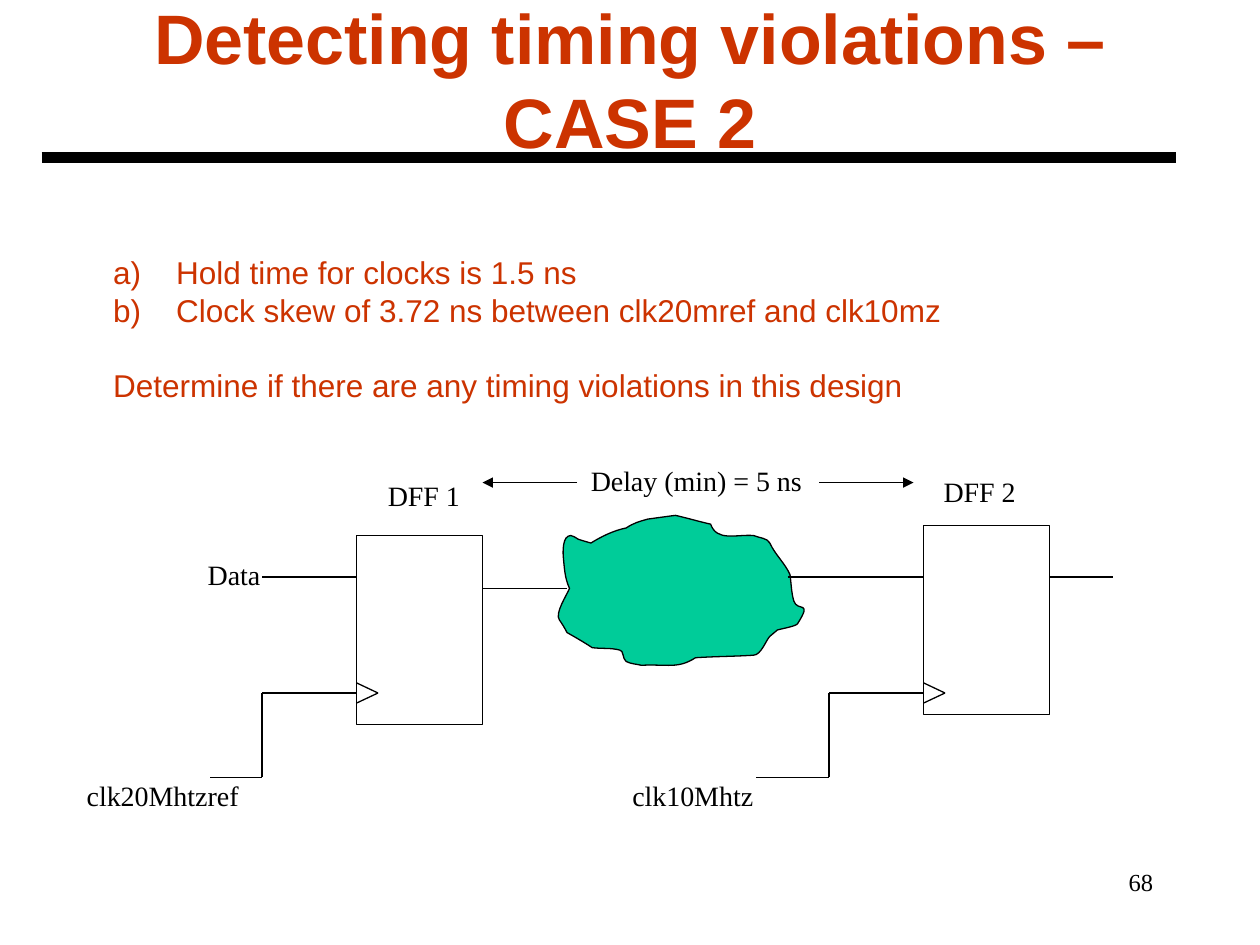
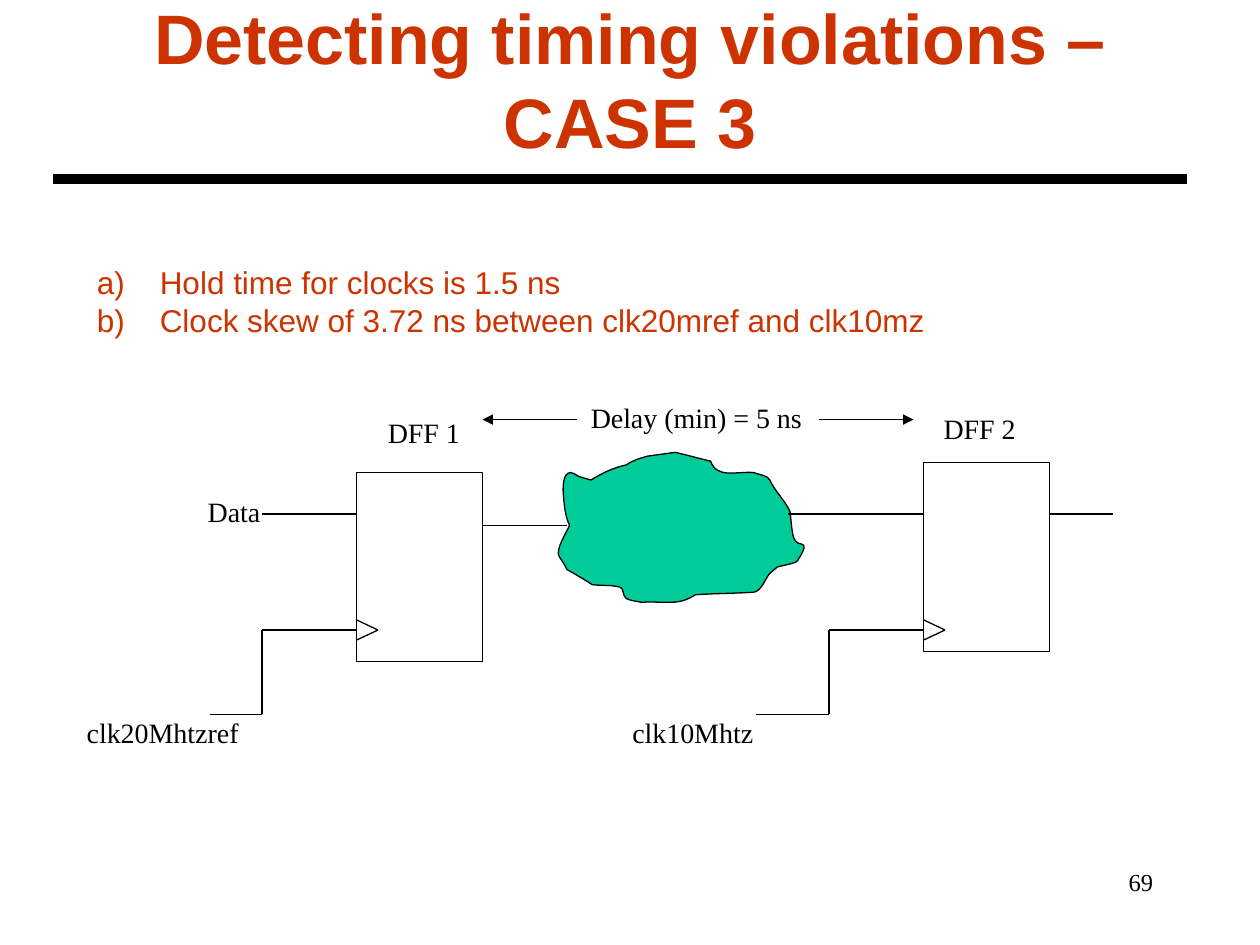
from dataclasses import dataclass

from lxml.etree import SubElement
from pptx import Presentation
from pptx.dml.color import RGBColor
from pptx.enum.shapes import MSO_CONNECTOR, MSO_SHAPE
from pptx.enum.text import MSO_ANCHOR, MSO_AUTO_SIZE, PP_ALIGN
from pptx.oxml.ns import qn
from pptx.util import Inches, Pt

COLORS = {"accent": "CC3300", "ink": "000000", "cloud": "00CC99"}
TITLE = {"name": "Arial", "size": Pt(40), "bold": True}
BODY = {"name": "Arial", "size": Pt(18)}
LABEL = {"name": "Times New Roman", "size": Pt(16)}
NUMBER = {"name": "Times New Roman", "size": Pt(14)}
FIT = {"word_wrap": False, "auto_size": MSO_AUTO_SIZE.SHAPE_TO_FIT_TEXT}
TITLE_FRAME = {"word_wrap": True, "vertical_anchor": MSO_ANCHOR.MIDDLE,
               "margin_top": 0, "margin_bottom": 0}
FACTS = ("Hold time for clocks is 1.5 ns",
         "Clock skew of 3.72 ns between clk20mref and clk10mz")


@dataclass
class Case:
    number: int
    page: int
    rule: tuple[float, float]
    body: tuple[float, float, float, float]
    shift: float
    task: str = ""


@dataclass
class FlipFlop:
    name: str
    left: float
    top: float
    name_at: tuple[float, float]
    clock: str
    clock_at: tuple[float, float, float, float]
    clock_start: float


CASES = (
    Case(2, 68, (0.33, 1.25), (0.8, 1.96, 7.46, 1.3), 0,
         "Determine if there are any timing violations in this design"),
    Case(3, 69, (0.42, 1.42), (0.67, 2.04, 6.8, 1), -0.5),
)
FLIP_FLOPS = (
    FlipFlop("DFF 1", 2.83, 4.25, (2.98, 3.75),
             "clk20Mhtzref", (0.59, 6.13, 1.44, 0.37), 1.67),
    FlipFlop("DFF 2", 7.33, 4.17, (7.39, 3.72),
             "clk10Mhtz", (4.92, 6.13, 1.2, 0.37), 6),
)
CLOCK_Y, CLOCK_BASE = 5.5, 6.17

# Data wires: x1, x2, y
WIRES = ((2.08, 2.83, 4.58), (3.83, 4.5, 4.67),
         (6.25, 7.33, 4.58), (8.33, 8.83, 4.58))
DELAY_ARROWS = ((4.58, 3.83, 3.83), (6.5, 7.25, 3.83))

# Cloud outline: start point, then two controls and an end point per curve
CLOUD_START = (4.52, 4.67)
CLOUD_CURVES = (
    (4.48, 4.58, 4.48, 4.51, 4.47, 4.41), (4.47, 4.39, 4.46, 4.25, 4.53, 4.25),
    (4.55, 4.25, 4.57, 4.27, 4.59, 4.28), (4.62, 4.29, 4.69, 4.31, 4.69, 4.31),
    (4.77, 4.26, 4.87, 4.21, 4.97, 4.19), (5.03, 4.15, 5.07, 4.14, 5.14, 4.12),
    (5.21, 4.11, 5.36, 4.09, 5.36, 4.09), (5.45, 4.11, 5.55, 4.14, 5.64, 4.16),
    (5.69, 4.3, 5.84, 4.24, 5.98, 4.25), (6.03, 4.27, 6.09, 4.27, 6.11, 4.31),
    (6.15, 4.4, 6.23, 4.47, 6.27, 4.56), (6.28, 4.63, 6.28, 4.7, 6.3, 4.77),
    (6.33, 4.86, 6.45, 4.76, 6.33, 4.95), (6.32, 4.97, 6.2, 4.99, 6.17, 5),
    (6.15, 5.02, 6.13, 5.03, 6.11, 5.05), (6.08, 5.08, 6.04, 5.2, 5.98, 5.2),
    (5.83, 5.21, 5.67, 5.21, 5.52, 5.22), (5.38, 5.31, 5.3, 5.27, 5.09, 5.28),
    (5.05, 5.27, 5.01, 5.27, 4.97, 5.25), (4.94, 5.23, 4.95, 5.16, 4.92, 5.16),
    (4.85, 5.14, 4.78, 5.15, 4.7, 5.14), (4.64, 5.1, 4.57, 5.06, 4.5, 5.02),
    (4.48, 4.98, 4.46, 4.95, 4.44, 4.92), (4.4, 4.87, 4.5, 4.72, 4.52, 4.67),
)


def rgb(name: str) -> RGBColor:
    return RGBColor.from_string(COLORS[name])


def apply(target, values: dict) -> None:
    for name, value in values.items():
        setattr(target, name, value)


def add_text(s, at, lines, font: dict, color="ink", frame=FIT, align=PP_ALIGN.LEFT):
    tf = s.shapes.add_textbox(*map(Inches, at)).text_frame
    apply(tf, frame)
    for i, line in enumerate(lines):
        p = tf.paragraphs[0] if i == 0 else tf.add_paragraph()
        p.alignment = align
        r = p.add_run()
        r.text = line
        apply(r.font, font)
        r.font.color.rgb = rgb(color)
    return tf


def add_line(s, x1, y1, x2, y2, width=0.75, arrow=False) -> None:
    line = s.shapes.add_connector(MSO_CONNECTOR.STRAIGHT, *map(Inches, (x1, y1, x2, y2)))
    line.line.color.rgb = rgb("ink")
    line.line.width = Pt(width)
    if arrow:
        SubElement(line.line._get_or_add_ln(), qn("a:tailEnd"), type="triangle")
    SubElement(line._element.spPr, qn("a:effectLst"))


def style_shape(sp, fill="") -> None:
    sp.shadow.inherit = False
    if fill:
        sp.fill.solid()
        sp.fill.fore_color.rgb = rgb(fill)
    else:
        sp.fill.background()
    sp.line.color.rgb = rgb("ink")
    sp.line.width = Pt(0.75)


def add_cloud(s, dy: float) -> None:
    points = [(Inches(x), Inches(y + dy))
              for curve in CLOUD_CURVES for x, y in zip(curve[::2], curve[1::2])]
    x, y = CLOUD_START
    builder = s.shapes.build_freeform(Inches(x), Inches(y + dy))
    builder.add_line_segments(points, close=True)
    sp = builder.convert_to_shape()
    # Turn every three straight segments into one Bézier curve
    segments = list(sp._element.iter(qn("a:lnTo")))
    for first, second, third in zip(segments[::3], segments[1::3], segments[2::3]):
        curve = first.getparent().makeelement(qn("a:cubicBezTo"))
        first.addprevious(curve)
        for segment in (first, second, third):
            curve.append(segment[0])
            segment.getparent().remove(segment)
    style_shape(sp, "cloud")


def add_flip_flop(s, ff: FlipFlop, dy: float) -> None:
    box = s.shapes.add_shape(MSO_SHAPE.RECTANGLE,
                             *map(Inches, (ff.left, ff.top + dy, 1, 1.5)))
    style_shape(box)
    x, y = ff.name_at
    add_text(s, (x, y + dy, 0.8, 0.37), [ff.name], LABEL)
    # Clock wedge and stepped clock wire
    y, base, step = CLOCK_Y + dy, CLOCK_BASE + dy, ff.left - 0.75
    for edge in (-0.08, 0.08):
        add_line(s, ff.left, y + edge, ff.left + 0.17, y)
    add_line(s, ff.left, y, step, y)
    add_line(s, step, y, step, base)
    add_line(s, ff.clock_start, base, step, base)
    x, y, w, h = ff.clock_at
    add_text(s, (x, y + dy, w, h), [ff.clock], LABEL)


def add_circuit(s, dy: float) -> None:
    add_cloud(s, dy)
    for ff in FLIP_FLOPS:
        add_flip_flop(s, ff, dy)
    for wires, arrow in ((WIRES, False), (DELAY_ARROWS, True)):
        for x1, x2, y in wires:
            add_line(s, x1, y + dy, x2, y + dy, arrow=arrow)
    add_text(s, (1.55, 4.38 + dy, 0.65, 0.37), ["Data"], LABEL)
    add_text(s, (4.59, 3.63 + dy, 1.92, 0.37), ["Delay (min) = 5 ns"], LABEL)


def add_body(s, case: Case) -> None:
    lines = [*FACTS, case.task] if case.task else FACTS
    tf = add_text(s, case.body, lines, BODY, "accent")
    for i, p in enumerate(tf.paragraphs):
        if i >= len(FACTS):
            p.space_before = Pt(21.6)
            continue
        pPr = p._p.get_or_add_pPr()
        pPr.set("marL", str(Inches(0.5)))
        pPr.set("indent", str(Inches(-0.5)))
        color = SubElement(pPr, qn("a:buClr"))
        SubElement(color, qn("a:srgbClr"), val=COLORS["accent"])
        SubElement(pPr, qn("a:buAutoNum"), type="alphaLcParenR")


def add_case(prs, case: Case) -> None:
    s = prs.slides.add_slide(prs.slide_layouts[6])
    # Title, rule and page number
    add_text(s, (0.75, 0, 8.5, 1.25), [f"Detecting timing violations – CASE {case.number}"],
             TITLE, "accent", TITLE_FRAME, PP_ALIGN.CENTER)
    x, y = case.rule
    add_line(s, x, y, x + 9, y, width=6)
    add_text(s, (7.17, 6.83, 2.08, 0.5), [str(case.page)], NUMBER,
             frame={"word_wrap": True}, align=PP_ALIGN.RIGHT)
    # Facts and circuit
    add_body(s, case)
    add_circuit(s, case.shift)


def main() -> None:
    prs = Presentation()
    apply(prs, {"slide_width": Inches(10), "slide_height": Inches(7.5)})
    for case in CASES:
        add_case(prs, case)
    prs.save("out.pptx")


if __name__ == "__main__":
    main()
